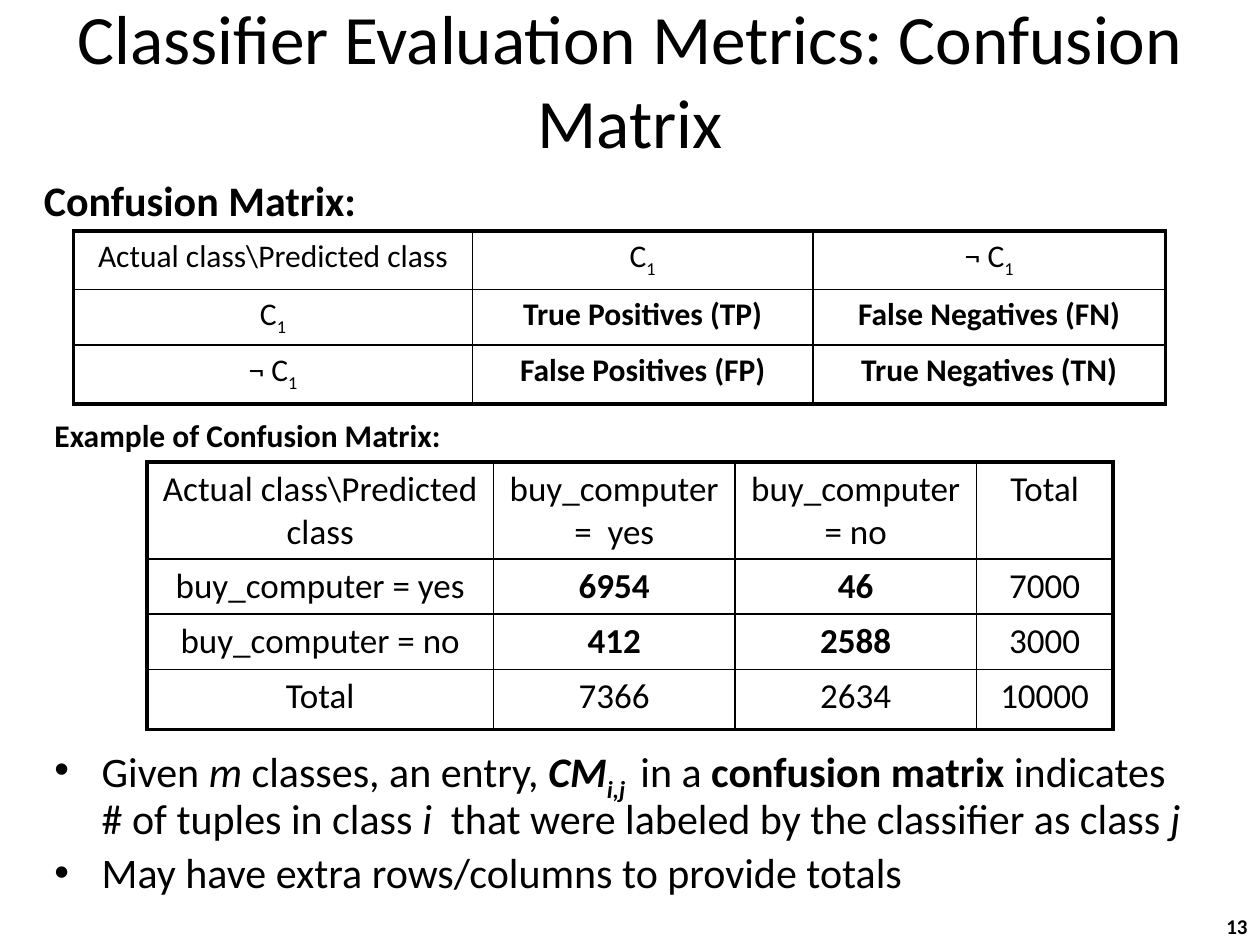
from lxml import etree
from pptx import Presentation
from pptx.dml.color import RGBColor
from pptx.enum.text import MSO_ANCHOR, PP_ALIGN
from pptx.oxml.ns import qn
from pptx.util import Pt

LEFT, CENTER, RIGHT = PP_ALIGN.LEFT, PP_ALIGN.CENTER, PP_ALIGN.RIGHT
TOP, MIDDLE, BOTTOM = MSO_ANCHOR.TOP, MSO_ANCHOR.MIDDLE, MSO_ANCHOR.BOTTOM
BLACK = "000000"
THICK, THIN = 2.25, 1


def add_runs(p, runs, size, align):
    p.alignment = align
    for text, style in runs:
        r = p.add_run()
        r.text = text
        r.font.name = "Calibri"
        r.font.size = Pt(size)
        r.font.bold = "b" in style
        r.font.italic = "i" in style
        r.font.color.rgb = RGBColor.from_string(BLACK)
        if "s" in style:
            r.font._element.set("baseline", "-25000")


def add_text(box, paragraphs, size, align=LEFT, anchor=TOP, wrap=True):
    tf = s.shapes.add_textbox(*[Pt(v) for v in box]).text_frame
    tf.word_wrap = wrap
    tf.vertical_anchor = anchor
    for i, runs in enumerate(paragraphs):
        p = tf.add_paragraph() if i else tf.paragraphs[0]
        add_runs(p, runs, size, align)
    return tf


prs = Presentation()
prs.slide_width, prs.slide_height = Pt(720), Pt(540)
s = prs.slides.add_slide(prs.slide_layouts[6])

add_text((0, 0, 720, 90), [[("Classifier Evaluation Metrics: Confusion Matrix", "")]],
         39.6, CENTER, MIDDLE)
add_text((18, 96, 205, 36), [[("Confusion Matrix:", "b")]], 24)
add_text((24, 234, 281, 29), [[("Example of Confusion Matrix:", "b")]], 18, wrap=False)

c1 = [("C", ""), ("1", "s")]
not_c1 = [("¬ C", ""), ("1", "s")]
definition = [
    [[("Actual class\\Predicted class", "")], c1, not_c1],
    [c1, [("True Positives (TP)", "b")], [("False Negatives (FN)", "b")]],
    [not_c1, [("False Positives (FP)", "b")], [("True Negatives (TN)", "b")]],
]
counts = [
    ["Actual class\\Predicted class", "buy_computer =  yes", "buy_computer = no", "Total"],
    ["buy_computer = yes", "6954", "46", "7000"],
    ["buy_computer = no", "412", "2588", "3000"],
    ["Total", "7366", "2634", "10000"],
]
bold_counts = {"6954", "46", "412", "2588"}
example = [[[(t, "b" if t in bold_counts else "")] for t in row] for row in counts]

tables = [
    (definition, 42, 132, [228, 194.5, 201.5], [33.5, 31.5, 33.5], 18),
    (example, 84, 264, [198, 138, 138, 78], [55.5, 31.5, 31.5, 34.5], 20),
]
for rows, left, top, widths, heights, size in tables:
    table = s.shapes.add_table(len(rows), len(widths), Pt(left), Pt(top),
                               Pt(sum(widths)), Pt(sum(heights))).table
    table.first_row = table.horz_banding = False
    for col, width in zip(table.columns, widths):
        col.width = Pt(width)
    for row, height in zip(table.rows, heights):
        row.height = Pt(height)
    for i, row in enumerate(rows):
        for j, runs in enumerate(row):
            cell = table.cell(i, j)
            add_runs(cell.text_frame.paragraphs[0], runs, size, CENTER)
            tcPr = cell._tc.get_or_add_tcPr()
            outer = {"L": j == 0, "R": j == len(widths) - 1,
                     "T": i == 0, "B": i == len(rows) - 1}
            for side, is_outer in outer.items():
                width = Pt(THICK if is_outer else THIN)
                ln = etree.SubElement(tcPr, qn(f"a:ln{side}"), w=str(int(width)))
                fill = etree.SubElement(ln, qn("a:solidFill"))
                etree.SubElement(fill, qn("a:srgbClr"), val=BLACK)
            cell.fill.background()

notes = [
    [("Given", ""), (" m", "i"), (" classes, an entry, ", ""), ("CM", "bi"),
     ("i,j ", "bis"), (" in a ", ""), ("confusion matrix", "b"),
     (" indicates # of tuples in class ", ""), ("i", "i"),
     ("  that were labeled by the classifier as class ", ""), ("j", "i")],
    [("May have extra rows/columns to provide totals", "")],
]
tf = add_text((24, 423, 666, 99), notes, 24)
for p in tf.paragraphs:
    p.line_spacing = 0.9
    p.space_before = Pt(4.8)
    pPr = p._p.get_or_add_pPr()
    pPr.set("marL", str(int(Pt(27))))
    pPr.set("indent", str(int(Pt(-27))))
    etree.SubElement(pPr, qn("a:buFont"), typeface="Arial")
    etree.SubElement(pPr, qn("a:buChar"), char="•")

add_text((570, 510, 150, 30), [[("13", "b")]], 12, RIGHT, BOTTOM)

prs.save("out.pptx")
